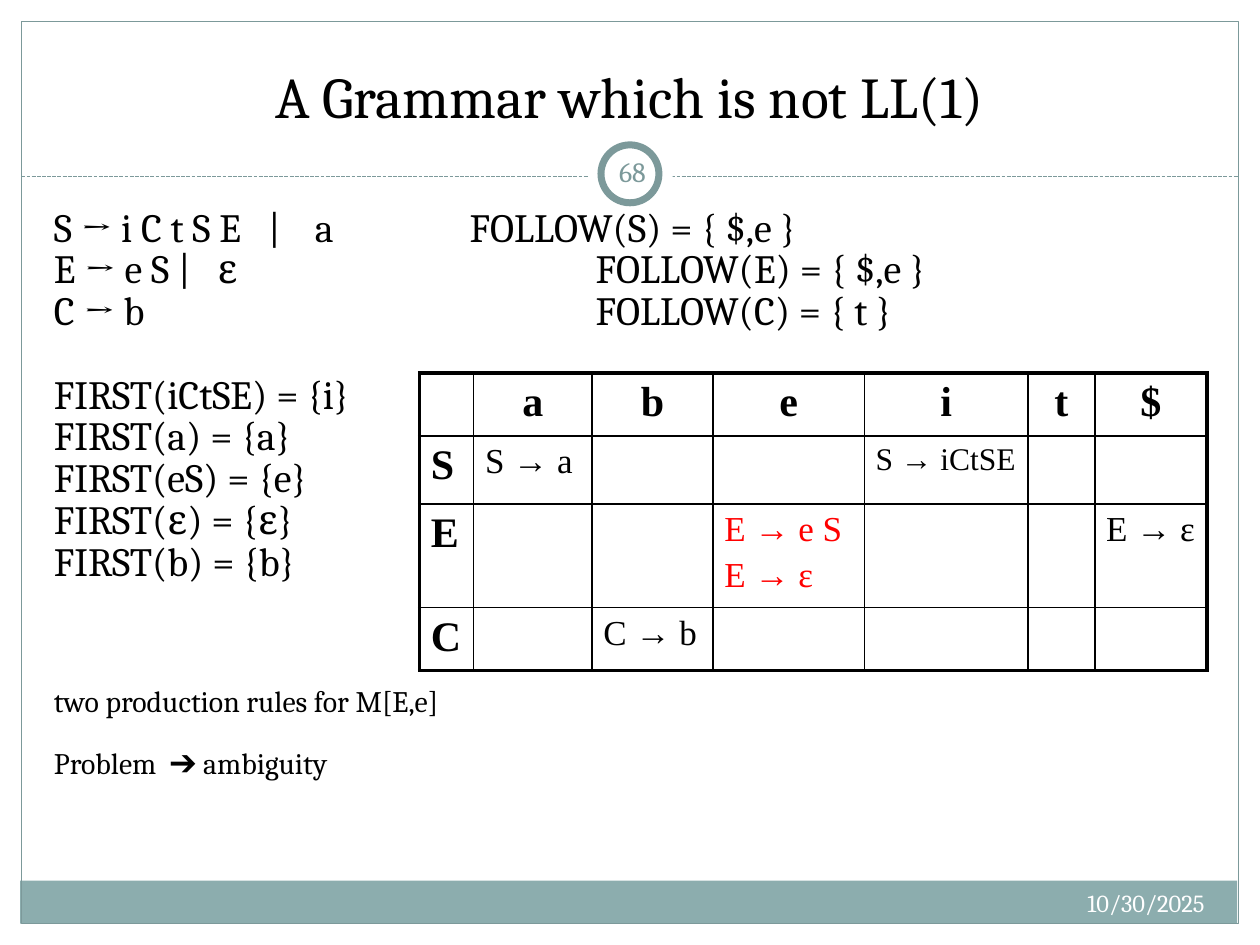
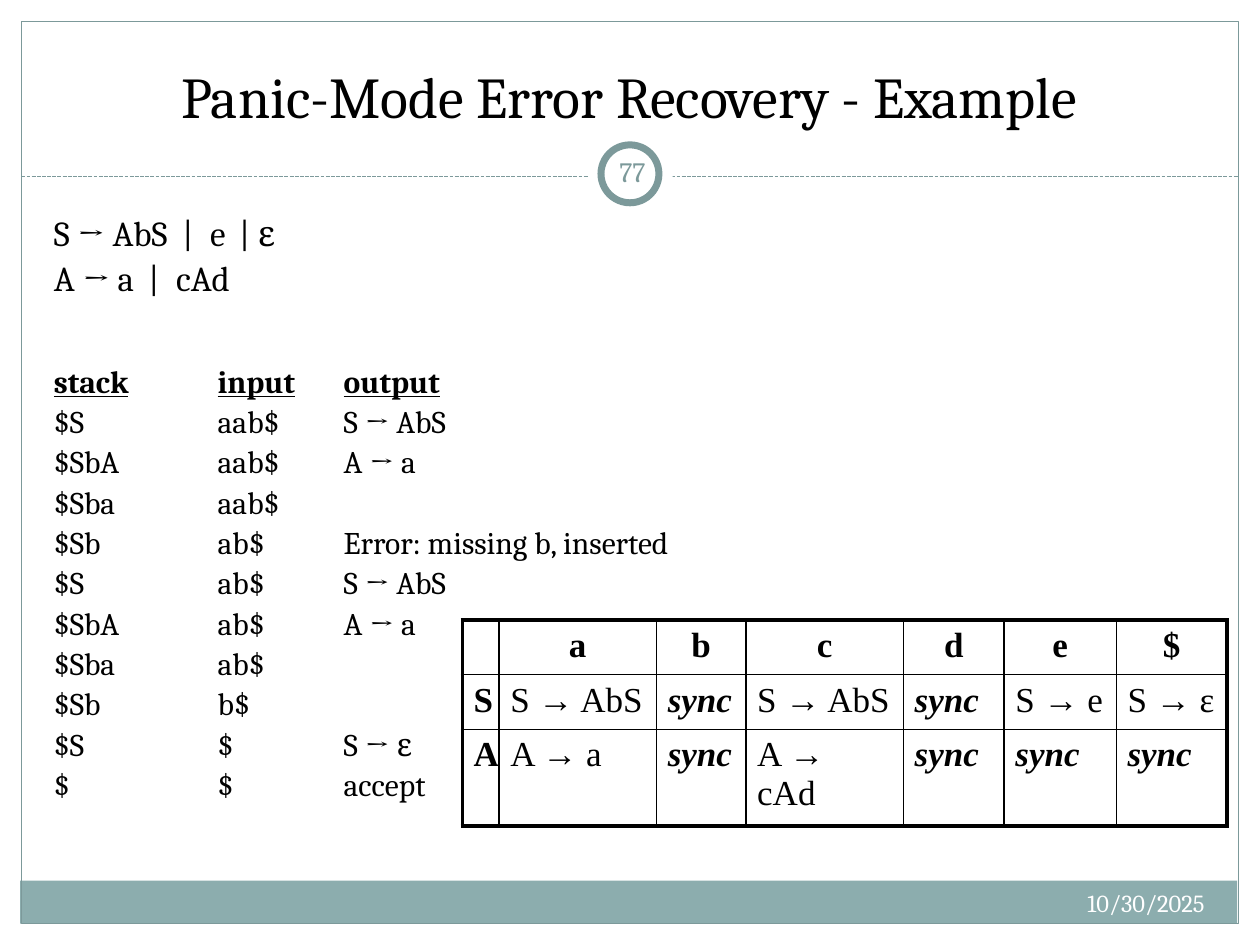
"""Builds two slides on LL(1) parsing tables and panic-mode error recovery."""
from dataclasses import dataclass, field
from typing import Any

import pptx
import pptx.dml.color
import pptx.enum.dml
import pptx.enum.shapes
import pptx.enum.text
import pptx.oxml
import pptx.oxml.ns
import pptx.util
from lxml import etree

Inches = pptx.util.Inches
Pt = pptx.util.Pt
qn = pptx.oxml.ns.qn
ALIGN = pptx.enum.text.PP_ALIGN
ANCHOR = pptx.enum.text.MSO_ANCHOR
SHAPE = pptx.enum.shapes.MSO_SHAPE

COLORS = {
    "white": "FFFFFF",
    "text": "000000",
    "band": "8CADAE",
    "frame": "7C999A",
    "conflict": "FF0000",
}
BODY_FONT = "Cambria"
TABLE_FONT = "Times New Roman"
DATE = "10/30/2025"
TRACE_TABS = (1.3, 2.3)


@dataclass
class Line:
    text: str
    size: float
    gap: float = 0
    tabs: tuple[float, ...] = ()
    heading: bool = False


@dataclass
class ParseTable:
    left: float
    top: float
    cols: list[float]
    rows: list[float]
    cells: list[list[str]]
    head_size: float
    styles: dict[tuple[int, int], dict[str, Any]] = field(default_factory=dict)


@dataclass
class Page:
    title: str
    number: str
    body_top: float
    body_height: float
    spacing: float
    lines: list[Line]
    table: ParseTable


def rgb(name: str) -> pptx.dml.color.RGBColor:
    return pptx.dml.color.RGBColor.from_string(COLORS[name])


def set_tabs(p, stops: tuple[float, ...]) -> None:
    tab_list = etree.SubElement(p._p.get_or_add_pPr(), qn("a:tabLst"))
    for stop in stops:
        etree.SubElement(tab_list, qn("a:tab"), pos=str(Inches(stop)), algn="l")


def write(tf, text: str, *, size: float, font: str = BODY_FONT,
          color: str = "text", bold: bool = False, italic: bool = False,
          underline: bool = False, align=ALIGN.LEFT, before: float = 0,
          spacing: float = 1.0, tabs: tuple[float, ...] = ()) -> None:
    p = tf.paragraphs[-1]
    if p.runs:
        p = tf.add_paragraph()
    p.alignment = align
    p.line_spacing = spacing
    p.space_before = Pt(before)
    if tabs:
        set_tabs(p, tabs)

    def add_run(content: str, underlined: bool) -> None:
        r = p.add_run()
        r.text = content
        r.font.size = Pt(size)
        r.font.name = font
        r.font.bold = bold
        r.font.italic = italic
        r.font.underline = underlined
        r.font.color.rgb = rgb(color)

    for row, part in enumerate(text.split("\v")):
        if row:
            p.add_line_break()
        if not underline:
            add_run(part, False)
            continue
        for i, word in enumerate(part.split("\t")):
            if i:
                add_run("\t", False)
            add_run(word, True)


def add_box(s, left: float, top: float, width: float, height: float,
            anchor=ANCHOR.TOP, inset: float = 0.1):
    sp = s.shapes.add_textbox(Inches(left), Inches(top), Inches(width), Inches(height))
    tf = sp.text_frame
    tf.word_wrap = True
    tf.vertical_anchor = anchor
    tf.margin_left = tf.margin_right = Inches(inset)
    tf.margin_top = tf.margin_bottom = Inches(0.05)
    return tf


def add_figure(s, kind, left: float, top: float, width: float, height: float,
               fill: str = "", line: str = "", weight: float = 0.75) -> None:
    sp = s.shapes.add_shape(kind, Inches(left), Inches(top), Inches(width), Inches(height))
    sp.shadow.inherit = False
    if fill:
        sp.fill.solid()
        sp.fill.fore_color.rgb = rgb(fill)
    else:
        sp.fill.background()
    if line:
        sp.line.color.rgb = rgb(line)
        sp.line.width = Pt(weight)
    else:
        sp.line.fill.background()


def add_rule(s) -> None:
    cx = s.shapes.add_connector(pptx.enum.shapes.MSO_CONNECTOR.STRAIGHT,
                                Inches(0.17), Inches(1.4), Inches(9.83), Inches(1.4))
    cx.line.color.rgb = rgb("frame")
    cx.line.width = Pt(0.75)
    cx.line.dash_style = pptx.enum.dml.MSO_LINE.SQUARE_DOT
    etree.SubElement(cx._element.spPr, qn("a:effectLst"))


def add_frame(s, title: str, number: str) -> None:
    add_figure(s, SHAPE.RECTANGLE, 0.16, 6.99, 9.66, 0.34, fill="band")
    add_figure(s, SHAPE.RECTANGLE, 0.17, 0.17, 9.66, 7.16, line="frame")
    add_rule(s)
    add_figure(s, SHAPE.OVAL, 4.67, 1.05, 0.67, 0.67, fill="white")
    add_figure(s, SHAPE.OVAL, 4.77, 1.15, 0.46, 0.46, "white", "frame", 4)
    write(add_box(s, 0.33, 0.25, 9.33, 0.83, ANCHOR.BOTTOM), title,
          size=33, align=ALIGN.CENTER)
    write(add_box(s, 6.33, 7, 3.33, 0.4), DATE,
          size=14, color="white", align=ALIGN.RIGHT)
    write(add_box(s, 4.77, 1.12, 0.5, 0.48, ANCHOR.MIDDLE, 0.05), number,
          size=16, color="frame", align=ALIGN.CENTER)


def set_borders(cell, widths: dict[str, float]) -> None:
    tcPr = cell._tc.get_or_add_tcPr()
    for i, (side, width) in enumerate(widths.items()):
        ln = etree.Element(qn(f"a:ln{side}"), w=str(Pt(width)))
        fill = etree.SubElement(ln, qn("a:solidFill"))
        etree.SubElement(fill, qn("a:srgbClr"), val=COLORS["text"])
        tcPr.insert(i, ln)


def add_parse_table(s, spec: ParseTable) -> None:
    n_rows, n_cols = len(spec.rows), len(spec.cols)
    tbl = s.shapes.add_table(n_rows, n_cols, Inches(spec.left), Inches(spec.top),
                             Inches(sum(spec.cols)), Inches(sum(spec.rows))).table
    tbl.first_row = tbl.horz_banding = False
    for col, width in zip(tbl.columns, spec.cols):
        col.width = Inches(width)
    for row, height in zip(tbl.rows, spec.rows):
        row.height = Inches(height)
    for i, texts in enumerate(spec.cells):
        for j, text in enumerate(texts):
            cell = tbl.cell(i, j)
            cell.fill.background()
            cell.margin_left = cell.margin_right = Inches(0.09)
            outer = {"L": j == 0, "R": j == n_cols - 1, "T": i == 0, "B": i == n_rows - 1}
            set_borders(cell, {side: 2.25 if edge else 1 for side, edge in outer.items()})
            if not text:
                continue
            header = i == 0 or j == 0
            style = {"size": spec.head_size if header else 20,
                     "bold": header or text == "sync",
                     "italic": text == "sync",
                     "align": ALIGN.LEFT if i else ALIGN.CENTER,
                     **spec.styles.get((i, j), {})}
            for line in text.split("\n"):
                write(cell.text_frame, line, font=TABLE_FONT,
                      before=0.2 * style["size"], **style)


def add_page(prs, page: Page) -> None:
    s = prs.slides.add_slide(prs.slide_layouts[6])
    add_frame(s, page.title, page.number)
    tf = add_box(s, 0.33, page.body_top, 9.3, page.body_height)
    for line in page.lines:
        write(tf, line.text, size=line.size, before=0.2 * line.size + line.gap,
              spacing=page.spacing, tabs=line.tabs,
              bold=line.heading, underline=line.heading)
    add_parse_table(s, page.table)


FIRST_SETS = [("iCtSE", "i"), ("a", "a"), ("eS", "e"), ("ε", "ε"), ("b", "b")]

NOT_LL1 = Page(
    "A Grammar which is not LL(1)", "68", 1.66, 5.25, 0.7,
    [Line("S → i C t S E\t|\ta\tFOLLOW(S) = { $,e }", 22.9, tabs=(1.7, 2.07, 3.3)),
     Line("E → e S |\tε\tFOLLOW(E) = { $,e }", 22.9, tabs=(1.3, 4.3)),
     Line("C → b\tFOLLOW(C) = { t }", 22.9, tabs=(4.3,))]
    + [Line(f"FIRST({form}) = {{{first}}}", 22.9, gap=0 if i else 23.9)
       for i, (form, first) in enumerate(FIRST_SETS)]
    + [Line("two production rules for M[E,e]", 17, gap=59.3),
       Line("Problem\t➔ ambiguity", 17, gap=17.7, tabs=(0.92,))],
    ParseTable(
        3.33, 2.96, [0.43, 0.94, 0.96, 1.2, 1.3, 0.53, 0.89], [0.47, 0.54, 0.78, 0.46],
        [["", "a", "b", "e", "i", "t", "$"],
         ["S", "S → a", "", "", "S → iCtSE", "", ""],
         ["E", "", "", "E → e S\nE → ε", "", "", "E → ε"],
         ["C", "", "C → b", "", "", "", ""]],
        24, {(1, 4): {"size": 18}, (2, 3): {"color": "conflict"}}))

TRACE = [
    ("$S", "aab$", "S → AbS"),
    ("$SbA", "aab$", "A → a"),
    ("$Sba", "aab$"),
    ("$Sb", "ab$", "Error: missing b, inserted"),
    ("$S", "ab$", "S → AbS"),
    ("$SbA", "ab$", "A → a"),
    ("$Sba", "ab$"),
    ("$Sb", "b$"),
    ("$S", "$", "S → ε"),
    ("$", "$", "accept"),
]

PANIC_MODE = Page(
    "Panic-Mode Error Recovery - Example", "77", 1.67, 5, 0.9,
    [Line("S → AbS\t|\te\t| ε", 20, tabs=(1.02, 1.24, 1.47)),
     Line("A → a\t|\tcAd", 20, tabs=(0.75, 0.97)),
     Line("stack\tinput\toutput", 18, gap=34.6, tabs=TRACE_TABS, heading=True)]
    + [Line("\t".join(step), 18, tabs=TRACE_TABS) for step in TRACE],
    ParseTable(
        3.67, 4.92, [0.29, 1.25, 0.71, 1.25, 0.8, 0.89, 0.88], [0.41, 0.42, 0.71],
        [["", "a", "b", "c", "d", "e", "$"],
         ["S", "S → AbS", "sync", "S → AbS", "sync", "S → e", "S → ε"],
         ["A", "A → a", "sync", "A →\vcAd", "sync", "sync", "sync"]],
        20))


def main() -> None:
    prs = pptx.Presentation()
    prs.slide_width, prs.slide_height = Inches(10), Inches(7.5)
    for page in (NOT_LL1, PANIC_MODE):
        add_page(prs, page)
    prs.save("out.pptx")


if __name__ == "__main__":
    main()
